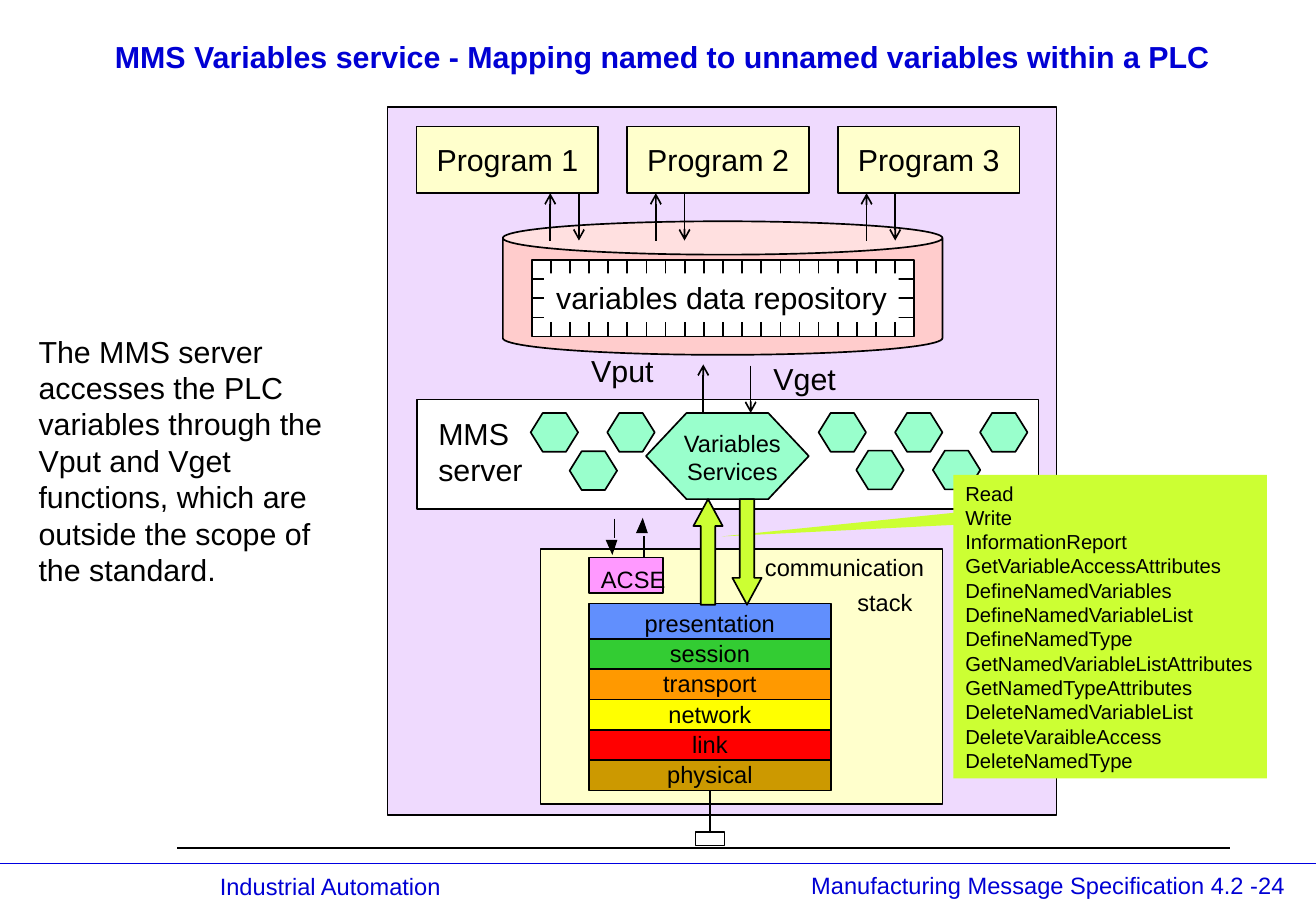
"""Build the slide on mapping MMS named variables to PLC variables."""
from lxml import etree
from pptx import Presentation
from pptx.dml.color import RGBColor
from pptx.enum import shapes, text
from pptx.oxml import ns
from pptx.util import Pt

TITLE = "MMS Variables service - Mapping named to unnamed variables within a PLC"
EXPLANATION = ("The MMS server accesses the PLC variables through the Vput and Vget "
               "functions, which are outside the scope of the standard.")
FOOTERS = [
    ("Manufacturing Message Specification 4.2 -24", (420.5, 517, 348.5, 18)),
    ("Industrial Automation", (15, 516.2, 253.5, 20)),
]
PROGRAMS = [("Program 1", 79.2), ("Program 2", 16.9), ("Program 3", 16.9)]
LAYERS = [
    ("presentation", "618FFD"),
    ("session", "33CC33"),
    ("transport", "FF9900"),
    ("network", "FFFF00"),
    ("link", "FF0000"),
    ("physical", "CC9900"),
]
SERVICES = [
    "Read", "Write", "InformationReport", "GetVariableAccessAttributes",
    "DefineNamedVariables", "DefineNamedVariableList", "DefineNamedType",
    "GetNamedVariableListAttributes", "GetNamedTypeAttributes",
    "DeleteNamedVariableList", "DeleteVaraibleAccess", "DeleteNamedType",
]
LABELS = [
    (["communication"], (446.4, 324, 108.7, 40.3), 14),
    (["stack"], (501.1, 344.9, 46.8, 24), 14),
    (["ACSE"], (349.2, 331.2, 52.6, 24), 14),
    (["Vput"], (343.4, 205.2, 51.1, 28.8), 18),
    (["Vget"], (451.4, 210.2, 51.1, 28.8), 18),
    (["MMS", "server"], (252.7, 242.6, 64.1, 50.4), 18),
]
SMALL_HEXAGONS = [(485.3, 244.8), (530.6, 244.8), (581, 244.8), (553, 267.1),
                  (507.6, 267.1), (337.7, 267.5), (314.6, 244.8), (360, 244.8)]
ACSE_ARROWS = [
    ([(362.9, 329), (359.3, 319.7), (366.5, 319.7)], (364.3, 307.4, 364.3, 319)),
    ([(380.9, 306.7), (384.5, 316.1), (377.3, 316.1)], (381.6, 330.5, 381.6, 317.5)),
]
CALLOUT_TAIL = [(643.7, 295.9), (428.4, 318.5), (649.4, 307.4)]
BLUE, BLACK, WHITE = "0000D4", "000000", "FFFFFF"
CREAM, MINT, LIME = "FFFFCC", "99FFCC", "CCFF33"
AUTO = shapes.MSO_SHAPE
ALIGN = text.PP_ALIGN
ANCHOR = text.MSO_ANCHOR

presentation = Presentation()
presentation.slide_width, presentation.slide_height = Pt(780.12), Pt(540)
slide = presentation.slides.add_slide(presentation.slide_layouts[5])


def rgb(value):
    return RGBColor.from_string(value)


def write(shape, lines, size=18, color=BLACK, bold=False, align=ALIGN.LEFT,
          anchor=ANCHOR.TOP, wrap=False, spacing=1.0):
    frame = shape.text_frame
    frame.word_wrap = wrap
    frame.auto_size = text.MSO_AUTO_SIZE.NONE
    frame.vertical_anchor = anchor
    for index, line in enumerate(lines):
        paragraph = frame.add_paragraph() if index else frame.paragraphs[0]
        paragraph.alignment = align
        paragraph.line_spacing = spacing
        run = paragraph.add_run()
        run.text = line
        run.font.name, run.font.size, run.font.bold = "Arial", Pt(size), bold
        run.font.color.rgb = rgb(color)


def paint(shape, fill, outline=BLACK):
    shape.shadow.inherit = False
    shape.fill.solid()
    shape.fill.fore_color.rgb = rgb(fill)
    if outline:
        shape.line.color.rgb = rgb(outline)
        shape.line.width = Pt(1)
    else:
        shape.line.fill.background()
    return shape


def add_box(box, fill, kind=AUTO.RECTANGLE, outline=BLACK, adjustments=()):
    shape = slide.shapes.add_shape(kind, *map(Pt, box))
    for index, value in enumerate(adjustments):
        shape.adjustments[index] = value
    return paint(shape, fill, outline)


def add_label(box, lines, **style):
    write(slide.shapes.add_textbox(*map(Pt, box)), lines, **style)


def add_polygon(points, fill):
    builder = slide.shapes.build_freeform(*points[0], scale=Pt(1))
    builder.add_line_segments(points[1:], close=True)
    paint(builder.convert_to_shape(), fill, None)


def add_line(x1, y1, x2, y2, color=BLACK, arrow=False):
    line = slide.shapes.add_connector(shapes.MSO_CONNECTOR.STRAIGHT, *map(Pt, (x1, y1, x2, y2)))
    line.line.color.rgb = rgb(color)
    line.line.width = Pt(1)
    properties = line._element.spPr
    if arrow:
        etree.SubElement(properties.find(ns.qn("a:ln")), ns.qn("a:tailEnd"), type="arrow")
    etree.SubElement(properties, ns.qn("a:effectLst"))
    return line


title = slide.shapes.title
title.left, title.top, title.width, title.height = map(Pt, (15.8, 15.1, 753.8, 40.3))
write(title, [TITLE], color=BLUE, bold=True, align=ALIGN.CENTER,
      anchor=ANCHOR.MIDDLE, wrap=True, spacing=0.87)
for footer, box in FOOTERS:
    add_label(box, [footer], size=14, color=BLUE, align=ALIGN.RIGHT,
              anchor=ANCHOR.MIDDLE, wrap=True, spacing=0.87)
add_line(0, 511.9, 780, 511.9, color="0000E0")
add_line(105.1, 502.6, 729.4, 502.6)

add_box((229.7, 63.4, 396.7, 419.8), "EFDAFE")
add_box((247, 236.9, 368.6, 64.8), WHITE)
add_box((320.4, 325.4, 238.3, 151.2), CREAM)

layer_shapes = {}
for index, (name, fill) in reversed(list(enumerate(LAYERS))):
    top = 357.8 + 18 * index
    layer_shapes[name] = add_box((349.2, top, 143.3, 20.9), fill)
    add_label((375.1, top - 0.7, 91.5, 23.8), [name], size=14, align=ALIGN.CENTER)
plug = add_box((412.25, 493.2, 17.2, 7.9), WHITE)
cable = add_line(420.85, 468.7, 420.85, 493.2)
cable.begin_connect(layer_shapes["physical"], 2)
cable.end_connect(plug, 0)

add_box((349.2, 330.5, 43.9, 20.9), "FF99FF")
for head, shaft in ACSE_ARROWS:
    add_polygon(head, BLACK)
    add_line(*shaft)

add_box((298.1, 131.2, 260.6, 79.2), "FFCCCC", AUTO.CAN, adjustments=[0.25])
for index, (name, arrow_offset) in enumerate(PROGRAMS):
    left = 247 + 124.9 * index
    program = add_box((left, 74.9, 107.6, 39.6), CREAM)
    write(program, [name], align=ALIGN.CENTER, anchor=ANCHOR.MIDDLE)
    arrow_x = left + arrow_offset
    add_line(arrow_x, 142.6, arrow_x, 114.5, arrow=True)
    add_line(arrow_x + 17, 114.5, arrow_x + 17, 142.6, arrow=True)

pitch, left, top = 11.34, 315.2, 154.1
right, bottom = left + 20 * pitch, top + 4 * pitch
add_box((left, top, right - left, bottom - top), WHITE)
for step in range(1, 20):
    add_line(left + step * pitch, top, left + step * pitch, bottom)
for step in range(1, 4):
    add_line(left, top + step * pitch, right, top + step * pitch)
repository = add_box((322.6, 162, 210.2, 28.8), WHITE, outline=None)
write(repository, ["variables data repository"])

add_box((383, 244.8, 96.5, 51.1), MINT, AUTO.HEXAGON, adjustments=[0.47])
add_label((394.6, 250.6, 79.2, 40.3), ["Variables", "Services"], size=14,
          align=ALIGN.CENTER, wrap=True)
add_line(416.9, 244.8, 416.9, 216, arrow=True)
add_line(445, 216.7, 445, 244.8, arrow=True)

add_polygon(CALLOUT_TAIL, LIME)
for kind, left in [(AUTO.UP_ARROW, 411.1), (AUTO.DOWN_ARROW, 434.2)]:
    add_box((left, 295.9, 17.3, 62.6), LIME, kind, adjustments=[0.5, 0.92])
for left, top in SMALL_HEXAGONS:
    add_box((left, top, 28.1, 23), MINT, AUTO.HEXAGON, adjustments=[0.31])

for lines, box, size in LABELS:
    add_label(box, lines, size=size)
add_label((15.8, 193.7, 204.5, 180), [EXPLANATION], wrap=True)
callout = add_box((565.2, 281.5, 185.8, 180), LIME, outline=None)
write(callout, SERVICES, size=12)

presentation.save("out.pptx")
